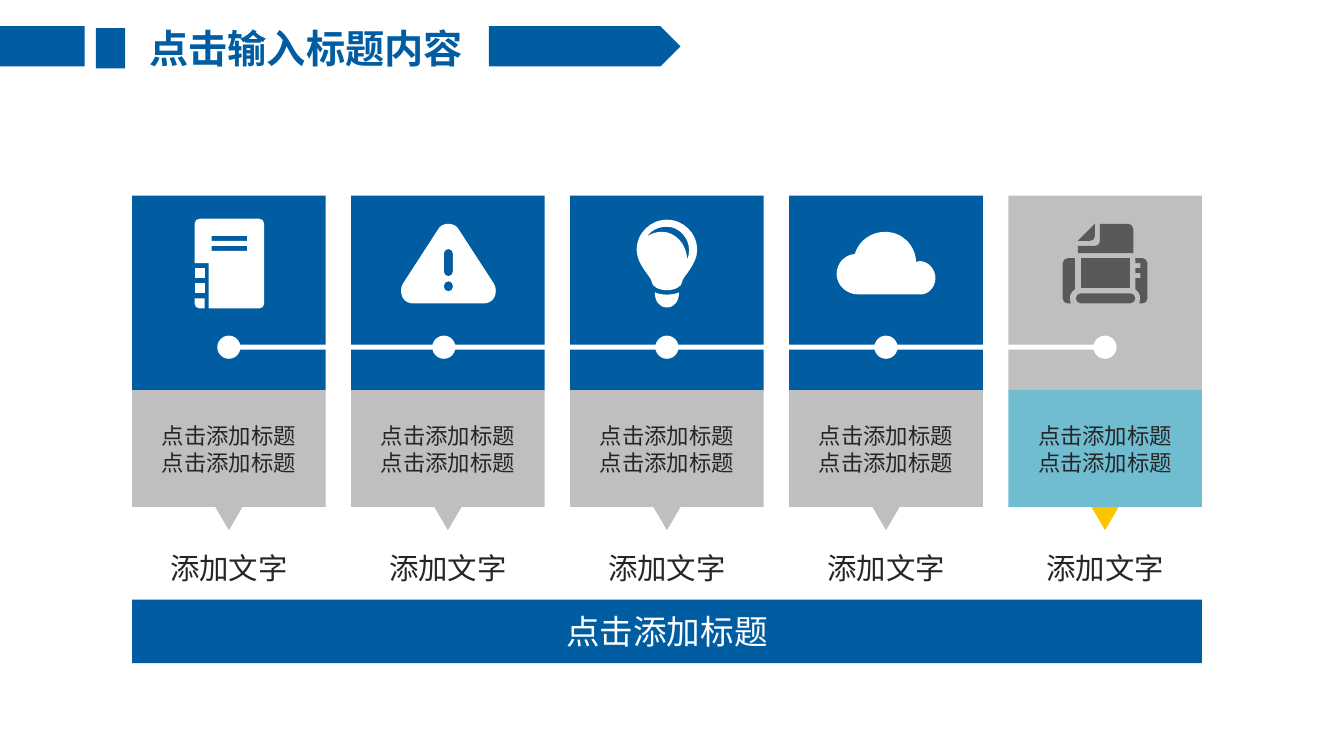
from lxml import etree
from pptx import Presentation
from pptx.dml.color import RGBColor
from pptx.enum.shapes import MSO_SHAPE
from pptx.enum.text import MSO_ANCHOR, PP_ALIGN
from pptx.oxml.ns import qn
from pptx.util import Inches, Pt

RECTANGLE, ELLIPSE = MSO_SHAPE.RECTANGLE, MSO_SHAPE.OVAL
TRIANGLE, PENTAGON = MSO_SHAPE.ISOSCELES_TRIANGLE, MSO_SHAPE.PENTAGON
MIDDLE, CENTER = MSO_ANCHOR.MIDDLE, PP_ALIGN.CENTER

FONT = "Noto Sans CJK SC"
COLORS = {"blue": "005DA2", "gray": "BFBFBF", "teal": "70BDD2", "amber": "FFC400",
          "white": "FFFFFF", "ink": "262626", "dark": "595959"}

# Grid in inches: five equal columns, stacked rows
LEFT, COLUMN, PITCH, COUNT = 1.31, 1.92, 2.1725, 5
TILE_TOP, TILE_HEIGHT = 1.94, 1.93
CAPTION_TOP, CAPTION_HEIGHT = 3.87, 1.16
POINTER_TOP, LABEL_TOP, BANNER_TOP = 5.03, 5.4, 5.95
TRACK_MIDDLE, DOT = 3.445, 0.23
DOT_SHIFTS = (0, -0.04, 0, 0, 0)


def column_middle(index):
    return LEFT + COLUMN / 2 + index * PITCH


def paint(shape, color):
    shape.shadow.inherit = False
    shape.fill.solid()
    shape.fill.fore_color.rgb = RGBColor.from_string(COLORS[color])
    shape.line.fill.background()


def add_block(page, kind, left, top, width, height, color):
    block = page.shapes.add_shape(kind, *map(Inches, (left, top, width, height)))
    paint(block, color)
    return block


def write(box, lines, size, color, bold=False, spacing=None):
    frame = box.text_frame
    frame.text = "\n".join(lines)
    frame.vertical_anchor = MIDDLE
    for para in frame.paragraphs:
        para.alignment = CENTER
        if spacing:
            para.line_spacing = Pt(spacing)
        font = para.font
        font.size, font.bold, font.name = Pt(size), bold, FONT
        font.color.rgb = RGBColor.from_string(COLORS[color])
        properties = para._p.pPr.find(qn("a:defRPr"))
        etree.SubElement(properties, qn("a:ea"), typeface=FONT)


def add_label(page, text, left, top, width, height, size, color, bold=False):
    box = page.shapes.add_textbox(*map(Inches, (left, top, width, height)))
    write(box, [text], size, color, bold)


def rounded(left, top, right, bottom, radius=0):
    if not radius:
        return [(left, top), (right, top), (right, bottom), (left, bottom)]
    near = radius * 0.45
    return [(left + radius, top), (right - radius, top),
            (right - near, top, right, top + near, right, top + radius),
            (right, bottom - radius),
            (right, bottom - near, right - near, bottom, right - radius, bottom),
            (left + radius, bottom),
            (left + near, bottom, left, bottom - near, left, bottom - radius),
            (left, top + radius),
            (left, top + near, left + near, top, left + radius, top)]


# Icon parts: offsets from column middle and tile top; later contours are holes.
# Pairs are straight steps; six numbers make a cubic curve.
NOTEBOOK = [
    [[(-0.29, 0.23), (0.3, 0.23), (0.33, 0.23, 0.35, 0.25, 0.35, 0.28), (0.35, 1.07),
      (0.35, 1.1, 0.33, 1.12, 0.3, 1.12), (-0.2, 1.12), (-0.2, 0.67), (-0.34, 0.67),
      (-0.34, 0.28), (-0.34, 0.25, -0.32, 0.23, -0.29, 0.23)],
     rounded(-0.17, 0.40, 0.18, 0.45), rounded(-0.17, 0.50, 0.18, 0.55)],
    [rounded(-0.34, 0.72, -0.24, 0.82)], [rounded(-0.34, 0.87, -0.24, 0.97)],
    [[(-0.34, 1.02), (-0.24, 1.02), (-0.24, 1.12), (-0.29, 1.12),
      (-0.32, 1.12, -0.34, 1.1, -0.34, 1.07)]]]
WARNING = [
    [[(-0.1, 0.34), (-0.08, 0.30, -0.04, 0.28, 0, 0.28),
      (0.05, 0.28, 0.09, 0.30, 0.11, 0.34), (0.46, 0.88),
      (0.48, 0.92, 0.48, 0.97, 0.46, 1.01), (0.44, 1.05, 0.40, 1.07, 0.35, 1.07),
      (-0.34, 1.07), (-0.39, 1.07, -0.43, 1.05, -0.45, 1.01),
      (-0.47, 0.97, -0.47, 0.92, -0.45, 0.88)],
     rounded(-0.04, 0.85, 0.05, 0.95, 0.045), rounded(-0.04, 0.53, 0.05, 0.80, 0.045)]]
BULB = [
    [[(0, 0.24), (0.16, 0.24, 0.3, 0.37, 0.3, 0.54), (0.3, 0.69, 0.15, 0.81, 0.15, 0.86),
      (0.15, 0.9, 0.08, 0.94, 0, 0.94), (-0.08, 0.94, -0.15, 0.9, -0.15, 0.86),
      (-0.15, 0.81, -0.3, 0.69, -0.3, 0.54), (-0.3, 0.37, -0.16, 0.24, 0, 0.24)],
     [(-0.05, 0.36), (0.08, 0.36, 0.2, 0.48, 0.2, 0.64),
      (0.21, 0.61, 0.22, 0.58, 0.22, 0.54), (0.22, 0.42, 0.12, 0.31, 0, 0.31),
      (-0.09, 0.31, -0.16, 0.35, -0.2, 0.41), (-0.16, 0.38, -0.11, 0.36, -0.05, 0.36)]],
    [[(-0.12, 0.96), (-0.06, 0.99, 0.06, 0.99, 0.12, 0.96),
      (0.12, 1.04, 0.08, 1.11, 0, 1.11), (-0.08, 1.11, -0.12, 1.04, -0.12, 0.96)]]]
CLOUD = [
    [[(-0.31, 0.58), (-0.27, 0.45, -0.15, 0.36, -0.01, 0.36),
      (0.16, 0.36, 0.29, 0.49, 0.30, 0.66), (0.33, 0.65),
      (0.42, 0.65, 0.49, 0.73, 0.49, 0.82), (0.49, 0.89, 0.44, 0.97, 0.36, 0.98),
      (-0.28, 0.98), (-0.39, 0.98, -0.49, 0.89, -0.49, 0.78),
      (-0.49, 0.68, -0.42, 0.59, -0.31, 0.58)]]]
CHEEK = [(0.3, 0.93), (0.33, 0.95, 0.35, 0.98, 0.35, 1.02), (0.34, 1.07), (0.37, 1.07),
         (0.4, 1.07, 0.42, 1.05, 0.42, 1.02), (0.42, 0.67),
         (0.42, 0.65, 0.4, 0.62, 0.37, 0.62), (0.3, 0.62)]
NOTCHES = [(0.3, 0.67), (0.35, 0.67), (0.35, 0.72), (0.3, 0.72),
           (0.3, 0.77), (0.35, 0.77), (0.35, 0.82), (0.3, 0.82)]
MIRRORED = [tuple(value if axis % 2 else -value for axis, value in enumerate(segment))
            for segment in CHEEK]
PRINTER = [
    [MIRRORED], [rounded(-0.29, 0.97, 0.3, 1.07, 0.05)], [CHEEK + NOTCHES],
    [[(-0.27, 0.45), (-0.1, 0.28), (-0.1, 0.4), (-0.1, 0.43, -0.12, 0.45, -0.15, 0.45)]],
    [[(-0.27, 0.5), (-0.1, 0.5), (-0.07, 0.5, -0.05, 0.48, -0.05, 0.45), (-0.05, 0.28),
      (0.23, 0.28), (0.25, 0.28, 0.28, 0.3, 0.28, 0.33), (0.28, 0.57), (-0.27, 0.57)]],
    [rounded(-0.24, 0.62, 0.25, 0.92)]]


def bend(shape, contours):
    """Join each three straight steps of a curved segment into one cubic."""
    steps = iter(list(shape._element.iter(qn("a:lnTo"))))
    for contour in contours:
        for segment in contour[1:]:
            step = next(steps)
            if len(segment) == 6:
                step.tag = qn("a:cubicBezTo")
                for extra in (next(steps), next(steps)):
                    step.append(extra[0])
                    extra.getparent().remove(extra)


def add_icon(page, parts, middle, color):
    for contours in parts:
        placed = [[(Inches(middle + segment[i]), Inches(TILE_TOP + segment[i + 1]))
                   for segment in contour for i in range(0, len(segment), 2)]
                  for contour in contours]
        builder = page.shapes.build_freeform(*placed[0][0])
        for number, points in enumerate(placed):
            if number:
                builder.move_to(*points[0])
            builder.add_line_segments(points[1:], close=True)
        shape = builder.convert_to_shape()
        bend(shape, contours)
        paint(shape, color)


def add_header(page):
    add_label(page, "点击输入标题内容", 1.24, 0.19, 3.59, 0.57, 28, "blue", True)
    add_block(page, PENTAGON, 4.85, 0.26, 1.9, 0.4, "blue")
    add_block(page, RECTANGLE, 0, 0.26, 0.84, 0.4, "blue")
    add_block(page, RECTANGLE, 0.95, 0.28, 0.29, 0.4, "blue")


def add_column(page, index, icon, tile, caption, pointer, ink):
    middle = column_middle(index)
    left = middle - COLUMN / 2
    add_block(page, RECTANGLE, left, TILE_TOP, COLUMN, TILE_HEIGHT, tile)
    box = add_block(page, RECTANGLE, left, CAPTION_TOP, COLUMN, CAPTION_HEIGHT, caption)
    write(box, ["点击添加标题"] * 2, 16, "ink", spacing=19.3)
    add_icon(page, icon, middle, ink)
    add_block(page, TRIANGLE, middle - 0.135, POINTER_TOP, 0.27, 0.23, pointer).rotation = 180
    add_label(page, "添加文字", middle - 0.695, LABEL_TOP, 1.39, 0.46, 21, "ink")


def add_track(page):
    for index, shift in enumerate(DOT_SHIFTS):
        add_block(page, ELLIPSE, column_middle(index) + shift - DOT / 2,
                  TRACK_MIDDLE - DOT / 2, DOT, DOT, "white")
    add_block(page, RECTANGLE, 2.2, TRACK_MIDDLE - 0.025, 8.69, 0.05, "white")


def main():
    deck = Presentation()
    deck.slide_width, deck.slide_height = Inches(13.33), Inches(7.5)
    page = deck.slides.add_slide(deck.slide_layouts[6])
    add_header(page)
    usual = ("blue", "gray", "gray", "white")
    accent = ("gray", "teal", "amber", "dark")
    for index, icon in enumerate((NOTEBOOK, WARNING, BULB, CLOUD, PRINTER)):
        add_column(page, index, icon, *(accent if index == COUNT - 1 else usual))
    add_track(page)
    banner = add_block(page, RECTANGLE, LEFT, BANNER_TOP,
                       (COUNT - 1) * PITCH + COLUMN, 0.63, "blue")
    write(banner, ["点击添加标题"], 24, "white")
    deck.save("out.pptx")


if __name__ == "__main__":
    main()
